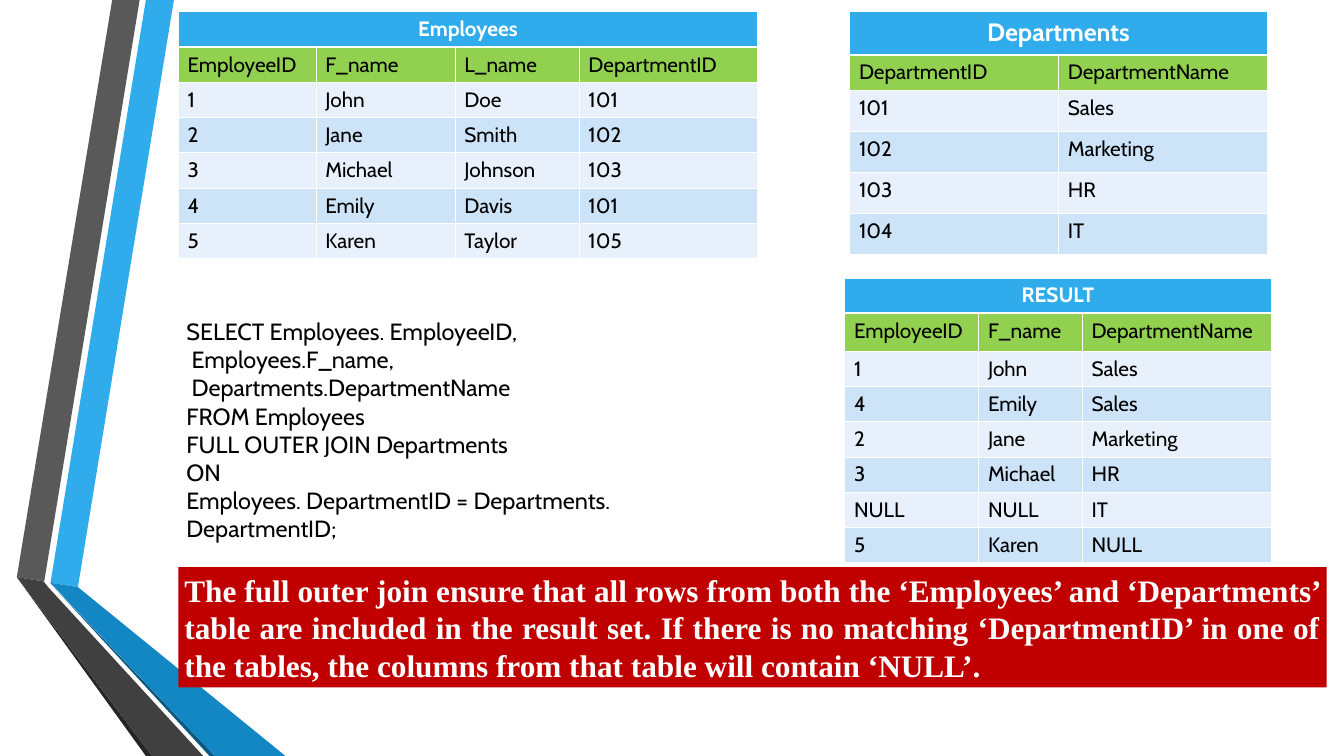
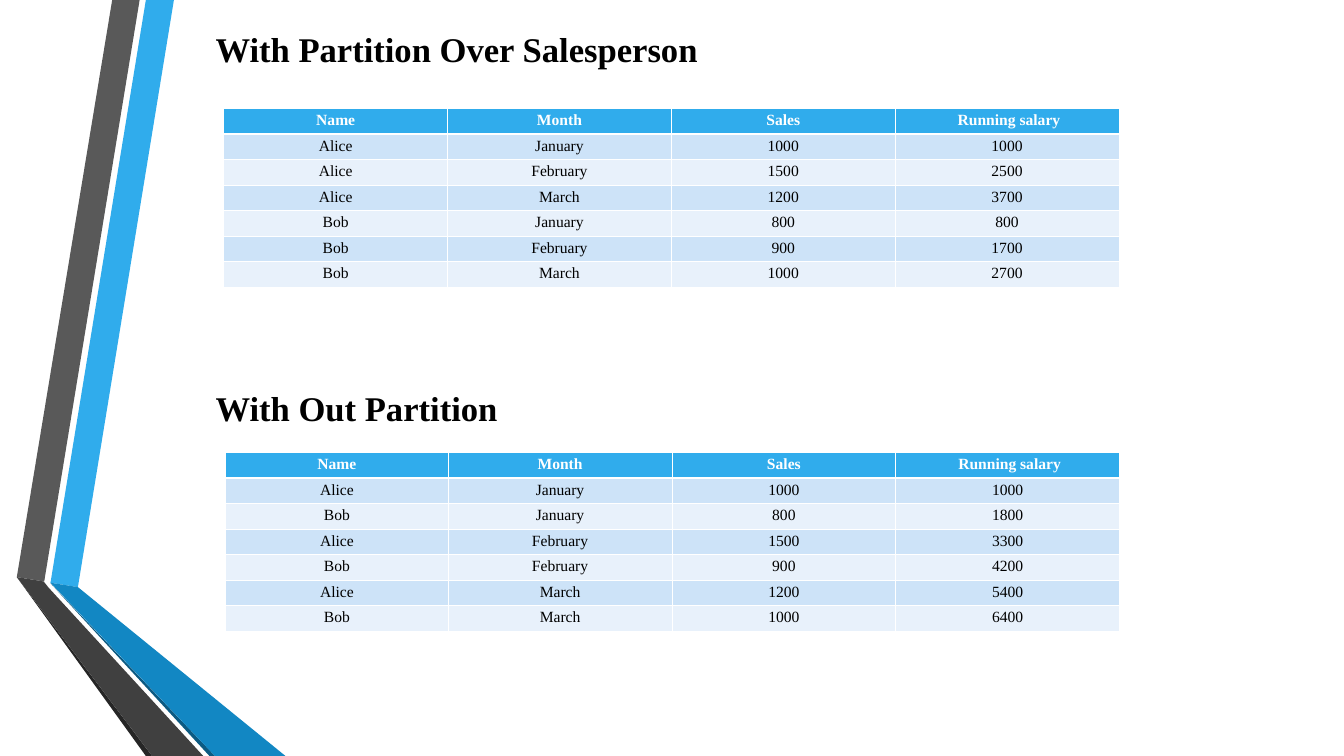
"""Builds two slides on SQL joins and running totals, with a shared ribbon layout."""
from pptx import Presentation
from pptx.dml.color import RGBColor
from pptx.enum.shapes import MSO_SHAPE
from pptx.enum.text import PP_ALIGN
from pptx.oxml import parse_xml
from pptx.oxml.ns import nsdecls
from pptx.util import Inches, Pt

LEFT, CENTER, JUSTIFY = PP_ALIGN.LEFT, PP_ALIGN.CENTER, PP_ALIGN.JUSTIFY
RECT = MSO_SHAPE.RECTANGLE
W, H = 21.56, 12.13

BLUE, GREEN, RED = "30ACEC", "92D050", "C00000"
WHITE, BLACK = "FFFFFF", "000000"
BANDS = ("E8F1FB", "CDE3F8")
SANS, SERIF = "Cabin", "Times New Roman"

RIBBONS = [
    (BLUE, [(0.81, 9.35), (1.25, 9.42), (2.79, 0), (2.34, 0)]),
    ("595959", [(2.24, 0), (1.8, 0), (0.27, 9.26), (0.71, 9.33)]),
    ("262626", [(0.27, 9.26), (2.34, H), (2.44, H)]),
    ("0C5A82", [(0.81, 9.36), (3.36, H), (3.45, H)]),
    ("1287C3", [(0.81, 9.35), (3.45, H), (4.58, H), (1.25, 9.42)]),
    ("404040", [(3.26, H), (0.78, 9.43), (0.7, 9.33), (0.27, 9.26), (2.44, H)]),
]

JOIN_TABLES = [
    dict(at=(13.63, 0.19), cols=[3.35] * 2, heads=[0.69, 0.5], body=0.66, head_size=29,
         title="Departments", rows=[
             ("DepartmentID", "DepartmentName"),
             ("101", "Sales"),
             ("102", "Marketing"),
             ("103", "HR"),
             ("104", "IT")]),
    dict(at=(2.86, 0.19), cols=[2.21, 2.23, 1.99, 2.86], heads=[0.49, 0.56], body=0.49,
         title="Employees", rows=[
             ("EmployeeID", "F_name", "L_name", "DepartmentID"),
             ("1", "John", "Doe", "101"),
             ("2", "Jane", "Smith", "102"),
             ("3", "Michael", "Johnson", "103"),
             ("4", "Emily", "Davis", "101"),
             ("5", "Karen", "Taylor", "105")]),
    dict(at=(13.55, 4.46), cols=[2.15, 1.66, 3.03], heads=[0.49, 0.61], body=0.49,
         title="RESULT", rows=[
             ("EmployeeID", "F_name", "DepartmentName"),
             ("1", "John", "Sales"),
             ("4", "Emily", "Sales"),
             ("2", "Jane", "Marketing"),
             ("3", "Michael", "HR"),
             ("NULL", "NULL", "IT"),
             ("5", "Karen", "NULL")]),
]
JOIN_FORMAT = dict(font=SANS, size=24, align=LEFT, inset=(0.15, 0.08))

QUERY = [
    "SELECT Employees. EmployeeID,",
    " Employees.F_name,",
    " Departments.DepartmentName",
    "FROM Employees",
    "FULL OUTER JOIN Departments",
    "ON",
    "Employees. DepartmentID = Departments. DepartmentID;",
]
NOTE = ("The full outer join ensure that all rows from both the ‘Employees’ and "
        "‘Departments’ table are included in the result set. If there is no matching "
        "‘DepartmentID’ in one of the tables, the columns from that table will contain ‘NULL’.")

SALES_HEAD = ("Name", "Month", "Sales", " Running salary")
SALES_TABLES = [
    ("With Partition Over Salesperson", 0.4,
     dict(at=(3.59, 1.74), cols=[3.59] * 4, heads=[0.41], body=0.41, rows=[
         SALES_HEAD,
         ("Alice", "January", "1000", "1000"),
         ("Alice", "February", "1500", "2500"),
         ("Alice", "March", "1200", "3700"),
         ("Bob", "January", "800", "800"),
         ("Bob", "February", "900", "1700"),
         ("Bob", "March", "1000", "2700")])),
    ("With Out Partition", 6.16,
     dict(at=(3.62, 7.26), cols=[3.57] + [3.59] * 3, heads=[0.41], body=0.41, rows=[
         SALES_HEAD,
         ("Alice", "January", "1000", "1000"),
         ("Bob", "January", "800", "1800"),
         ("Alice", "February", "1500", "3300"),
         ("Bob", "February", "900", "4200"),
         ("Alice", "March", "1200", "5400"),
         ("Bob", "March", "1000", "6400")])),
]
SALES_FORMAT = dict(font=SERIF, size=18, align=CENTER, inset=(0.1, 0.05))


def rgb(hex_color):
    return RGBColor.from_string(hex_color)


def paint(sp, color):
    sp.shadow.inherit = False
    sp.fill.solid()
    sp.fill.fore_color.rgb = rgb(color)
    sp.line.fill.background()


def write(tf, lines, color, align=LEFT, **font):
    tf.word_wrap = True
    for i, line in enumerate(lines):
        p = tf.paragraphs[0] if i == 0 else tf.add_paragraph()
        p.alignment = align
        r = p.add_run()
        r.text = line
        r.font.color.rgb = rgb(color)
        for key, value in font.items():
            setattr(r.font, key, value)


def add_text(s, box, lines, color, **fmt):
    sp = s.shapes.add_textbox(*map(Inches, box))
    write(sp.text_frame, lines, color, **fmt)


def add_ribbons(s, layout):
    for color, points in RIBBONS:
        start, *rest = [(Inches(x), Inches(y)) for x, y in points]
        builder = s.shapes.build_freeform(*start)
        builder.add_line_segments(rest, close=True)
        sp = builder.convert_to_shape()
        paint(sp, color)
        layout.shapes.element.append(sp.element)


def add_borders(cell, row):
    tc_pr = cell._tc.get_or_add_tcPr()
    widths = dict(L=1, R=1, T=3 if row == 1 else 1, B=3 if row == 0 else 1)
    for side, width in widths.items():
        tc_pr.append(parse_xml(
            f'<a:ln{side} {nsdecls("a")} w="{Pt(width)}"><a:solidFill>'
            f'<a:srgbClr val="{WHITE}"/></a:solidFill></a:ln{side}>'))


def add_table(s, at, cols, heads, body, rows, font, size, align, inset,
              title=None, head_size=None):
    if title:
        rows = [(title,) + ("",) * (len(cols) - 1)] + rows
    heights = heads + [body] * (len(rows) - len(heads))
    box = (*at, sum(cols), sum(heights))
    table = s.shapes.add_table(len(rows), len(cols), *map(Inches, box)).table
    table.horz_banding = False
    for column, width in zip(table.columns, cols):
        column.width = Inches(width)
    dx, dy = map(Inches, inset)
    margins = dict(margin_left=dx, margin_right=dx, margin_top=dy, margin_bottom=dy)
    for i, (row, height) in enumerate(zip(rows, heights)):
        table.rows[i].height = Inches(height)
        head = i == 0
        fill = BLUE if head else GREEN if i < len(heads) else BANDS[i % 2]
        for j, text in enumerate(row):
            cell = table.cell(i, j)
            for key, value in margins.items():
                setattr(cell, key, value)
            add_borders(cell, i)
            cell.fill.solid()
            cell.fill.fore_color.rgb = rgb(fill)
            if text:
                write(cell.text_frame, [text], WHITE if head else BLACK,
                      align=CENTER if head else align, name=font, bold=head,
                      size=Pt(head_size if head and head_size else size))
    if title:
        table.cell(0, 0).merge(table.cell(0, len(cols) - 1))


def build_join(s):
    for spec in JOIN_TABLES:
        add_table(s, **spec, **JOIN_FORMAT)
    add_text(s, (2.89, 5.04, 9.49, 3.29), QUERY, BLACK, name=SANS, size=Pt(27.1))
    sp = s.shapes.add_shape(RECT, *map(Inches, (2.86, 9.1, 18.42, 1.93)))
    paint(sp, RED)
    write(sp.text_frame, [NOTE], WHITE, align=JUSTIFY, name=SERIF, size=Pt(36.1), bold=True)


def build_sales(s):
    for heading, top, spec in SALES_TABLES:
        add_table(s, **spec, **SALES_FORMAT)
        add_text(s, (3.36, top, 9.14, 0.77), [heading], BLACK,
                 name=SERIF, size=Pt(40), bold=True)


def main():
    prs = Presentation()
    prs.slide_width, prs.slide_height = Inches(W), Inches(H)
    layout = prs.slide_layouts[6]
    join, sales = [prs.slides.add_slide(layout) for _ in range(2)]
    add_ribbons(join, layout)
    build_join(join)
    build_sales(sales)
    prs.save("out.pptx")


if __name__ == "__main__":
    main()
